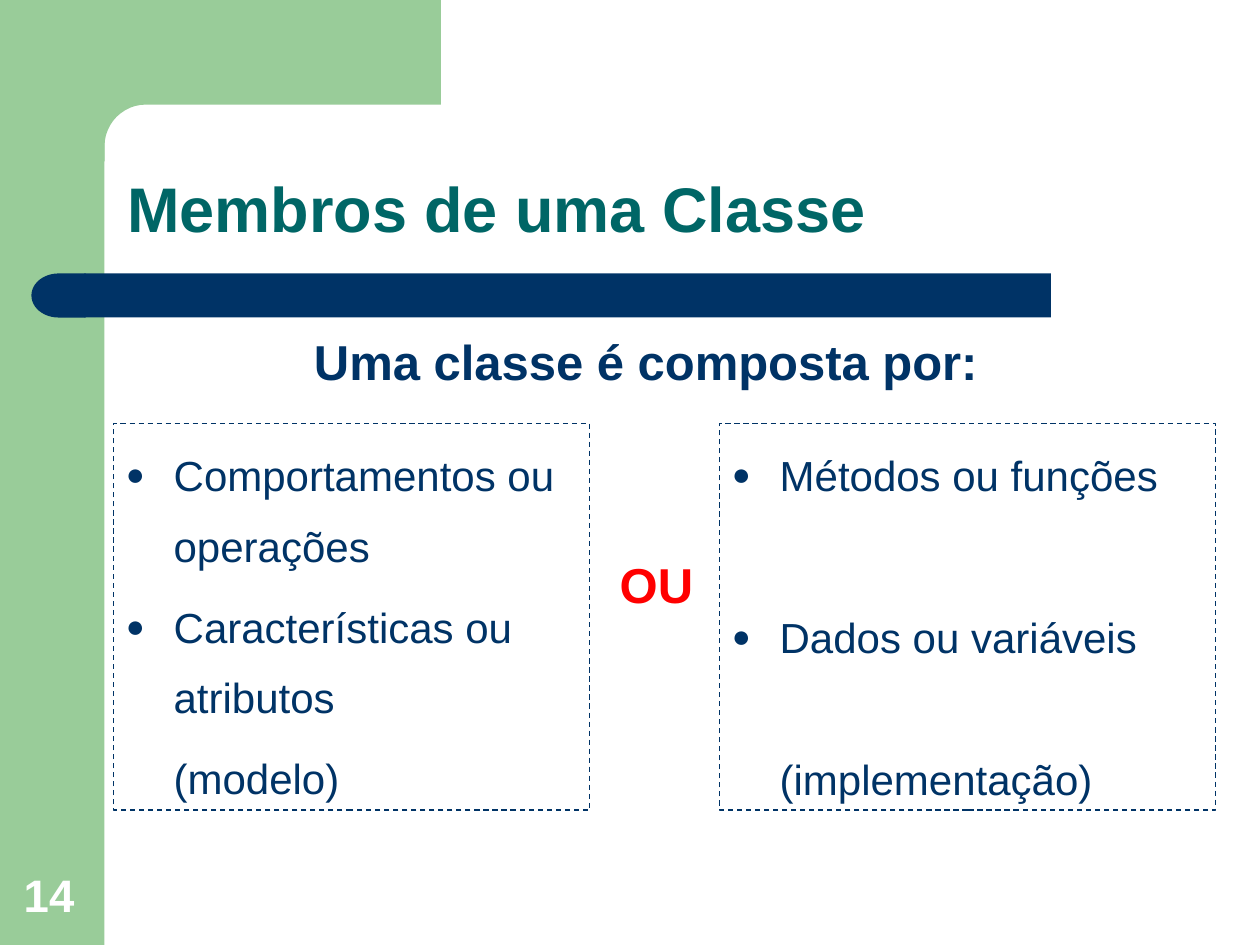
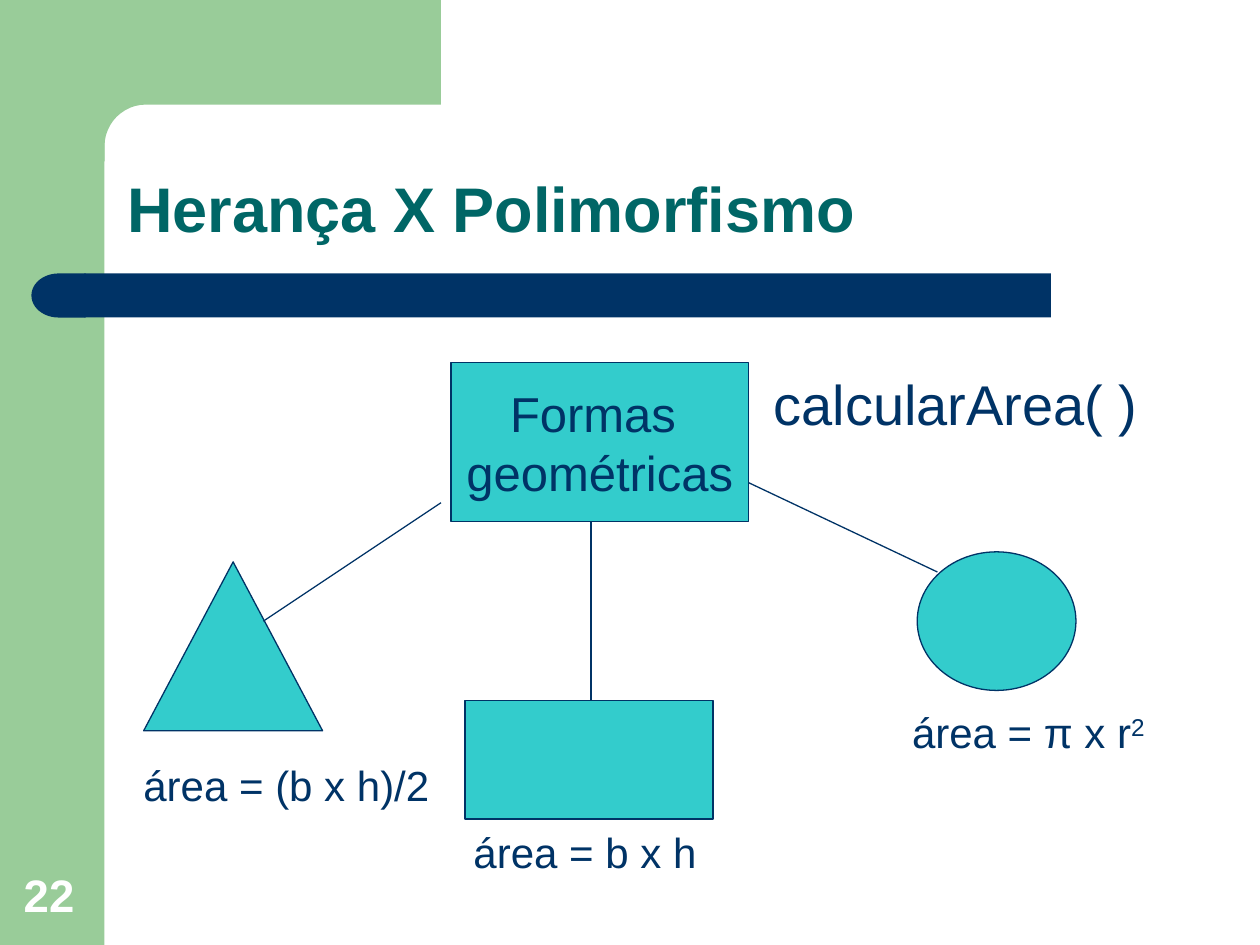
from math import cos, pi, sin

from lxml import etree
from pptx import Presentation
from pptx.dml.color import RGBColor
from pptx.enum.dml import MSO_LINE
from pptx.enum.shapes import MSO_CONNECTOR, MSO_SHAPE
from pptx.enum.text import MSO_ANCHOR, MSO_AUTO_SIZE, PP_ALIGN
from pptx.oxml.ns import qn
from pptx.util import Inches, Pt

RECT, DELAY = MSO_SHAPE.RECTANGLE, MSO_SHAPE.FLOWCHART_DELAY
TRIANGLE, OVAL = MSO_SHAPE.ISOSCELES_TRIANGLE, MSO_SHAPE.OVAL
STRAIGHT, DASH = MSO_CONNECTOR.STRAIGHT, MSO_LINE.DASH
TOP, MIDDLE, BOTTOM = MSO_ANCHOR.TOP, MSO_ANCHOR.MIDDLE, MSO_ANCHOR.BOTTOM
LEFT, CENTER = PP_ALIGN.LEFT, PP_ALIGN.CENTER
NO_FIT = MSO_AUTO_SIZE.NONE

FONT = "Arial"
GREEN, NAVY, TEAL = "99CC99", "003366", "006666"
CYAN, RED, WHITE = "33CCCC", "FF0000", "FFFFFF"

# The slide is a grid of 100 columns by 75 rows of square cells
WIDTH, HEIGHT = Inches(10), Inches(7.5)
CELL = WIDTH / 100
HANG = 3.8


def grid(*cells):
    return [round(c * CELL) for c in cells]


def color(hex_string):
    return RGBColor.from_string(hex_string)


def paint(s, fill=None, line=None, dash=None):
    s.shadow.inherit = False
    if fill:
        s.fill.solid()
        s.fill.fore_color.rgb = color(fill)
    else:
        s.fill.background()
    if line:
        s.line.color.rgb = color(line)
        s.line.width = Pt(0.75)
        s.line.dash_style = dash
    else:
        s.line.fill.background()
    return s


def shape(slide, kind, at, fill=None, line=NAVY, dash=None):
    return paint(slide.shapes.add_shape(kind, *grid(*at)), fill, line, dash)


def style(p, size, ink=NAVY, bold=False, align=LEFT):
    p.alignment = align
    p.space_before = Pt(0)
    for r in p.runs:
        f = r.font
        f.name, f.size, f.bold = FONT, Pt(size), bold
        f.color.rgb = color(ink)


def write(s, lines, size, ink=NAVY, bold=False, align=LEFT, anchor=TOP, wrap=False):
    tf = s.text_frame
    tf.text = lines
    tf.word_wrap, tf.auto_size, tf.vertical_anchor = wrap, NO_FIT, anchor
    for p in tf.paragraphs:
        style(p, size, ink, bold, align)
    return tf


def label(slide, at, text, size, **look):
    return write(slide.shapes.add_textbox(*grid(*at)), text, size, **look)


def place(placeholder, at):
    placeholder.left, placeholder.top, placeholder.width, placeholder.height = grid(*at)
    return placeholder


def hang(p, bullet):
    """Indent a paragraph, with a round bullet in the indent if wanted."""
    pPr = p._p.get_or_add_pPr()
    pPr.set("marL", str(grid(HANG)[0]))
    pPr.set("indent", str(-grid(HANG)[0] if bullet else 0))
    if not bullet:
        etree.SubElement(pPr, qn("a:buNone"))
        return
    clr = etree.SubElement(pPr, qn("a:buClr"))
    etree.SubElement(clr, qn("a:srgbClr"), val=NAVY)
    etree.SubElement(pPr, qn("a:buSzPct"), val="75000")
    etree.SubElement(pPr, qn("a:buFont"), typeface=FONT)
    etree.SubElement(pPr, qn("a:buChar"), char="●")


def dashed_list(slide, at, items):
    """Each item is its text, whether it has a bullet, and the space before."""
    s = shape(slide, RECT, at, dash=DASH)
    tf = s.text_frame
    tf.word_wrap, tf.vertical_anchor = True, TOP
    for i, (text, bullet, gap) in enumerate(items):
        p = tf.add_paragraph() if i else tf.paragraphs[0]
        p.text = text
        hang(p, bullet)
        style(p, 24)
        p.line_spacing, p.space_before = 1.4, Pt(gap)


def connect(slide, start, end):
    c = slide.shapes.add_connector(STRAIGHT, *grid(*start, *end))
    c.line.color.rgb = color(NAVY)
    c.line.width = Pt(0.75)
    etree.SubElement(c._element.spPr, qn("a:effectLst"))


def frame_master(prs, slide):
    """Draw the green frame and navy bar, then move them to the master."""
    side = shape(slide, RECT, (0, 0, 8.3, 75), GREEN, None)
    radius, center = 3.3, 11.6
    angles = [pi / 2 * i / 12 for i in range(13)]
    corner = [(center - radius * sin(a), center - radius * cos(a)) for a in angles]
    outline = [(35, 0), (35, 8.3), *corner, (8.3, 12.8), (5, 12.8), (5, 0)]
    points = [grid(*xy) for xy in outline]
    builder = slide.shapes.build_freeform(*points[0])
    builder.add_line_segments(points[1:], close=True)
    top = paint(builder.convert_to_shape(), GREEN)
    bar = shape(slide, RECT, (6.7, 21.7, 76.7, 3.5), NAVY, None)
    cap = shape(slide, DELAY, (2.5, 21.7, 4.3, 3.5), NAVY, None)
    cap._element.spPr.get_or_add_xfrm().set("flipH", "1")
    tree = prs.slide_master.shapes.element
    for i, s in enumerate((side, top, bar, cap)):
        s._element.nvSpPr.cNvPr.set("id", str(100 + i))
        tree.insert(2 + i, s._element)


def new_slide(prs, layout, title, number):
    slide = prs.slides.add_slide(prs.slide_layouts[layout])
    heading = place(slide.shapes.title, (9.1, 9.1, 85.1, 10.9))
    tf = write(heading, title, 36, ink=TEAL, bold=True, anchor=BOTTOM, wrap=True)
    tf.paragraphs[0].line_spacing = 0.9
    label(slide, (0.9, 68.3, 6.4, 5.3), number, 26, ink=WHITE, bold=True,
          anchor=BOTTOM, wrap=True)
    return slide


def class_members(prs):
    slide = new_slide(prs, 1, "Membros de uma Classe", "14")
    frame_master(prs, slide)
    body = place(slide.placeholders[1], (9.2, 25.8, 84.1, 6.9))
    tf = write(body, "Uma classe é composta por:", 28, bold=True, align=CENTER, wrap=True)
    pPr = tf.paragraphs[0]._p.get_or_add_pPr()
    pPr.set("marL", "0")
    pPr.set("indent", "0")
    etree.SubElement(pPr, qn("a:buNone"))

    # Model against implementation
    dashed_list(slide, (9, 33.6, 37.8, 30.7), [
        ("Comportamentos ou operações", True, 0),
        ("Características ou atributos", True, 6),
        ("(modelo)", False, 6)])
    dashed_list(slide, (57.1, 33.6, 39.4, 30.7), [
        ("Métodos ou funções", True, 0),
        ("Dados ou variáveis", True, 52),
        ("(implementação)", False, 41)])
    label(slide, (48.2, 43.5, 7.8, 5.7), "OU", 28, ink=RED, bold=True)


def inheritance(prs):
    slide = new_slide(prs, 5, "Herança X Polimorfismo", "22")

    # Base class and its three figures
    base = shape(slide, RECT, (35.8, 28.8, 23.6, 12.6), CYAN)
    write(base, "Formas \ngeométricas", 28, align=CENTER, anchor=MIDDLE)
    for kind, at in ((TRIANGLE, (11.4, 44.6, 14.2, 13.4)),
                     (RECT, (36.9, 55.6, 19.7, 9.4)),
                     (OVAL, (72.8, 43.8, 12.6, 11))):
        shape(slide, kind, at, CYAN)
    for start, end in (((35, 39.9), (20.9, 49.3)),
                       ((46.9, 41.4), (46.9, 55.6)),
                       ((59.4, 38.3), (74.4, 45.4))):
        connect(slide, start, end)

    # Method and area formulas
    label(slide, (60.4, 28.8, 30.9, 6.4), "calcularArea( )", 32)
    label(slide, (10.4, 59.8, 24.7, 5), "área = (b x h)/2", 24)
    label(slide, (36.6, 65.1, 19.7, 5), "área = b x h", 24)
    p = label(slide, (71.4, 55.6, 20.4, 5), "área = π x r", 24).paragraphs[0]
    r = p.add_run()
    r.text = "2"
    style(p, 24)
    r._r.get_or_add_rPr().set("baseline", "30000")


def main():
    prs = Presentation()
    prs.slide_width, prs.slide_height = WIDTH, HEIGHT
    class_members(prs)
    inheritance(prs)
    prs.save("out.pptx")


if __name__ == "__main__":
    main()
